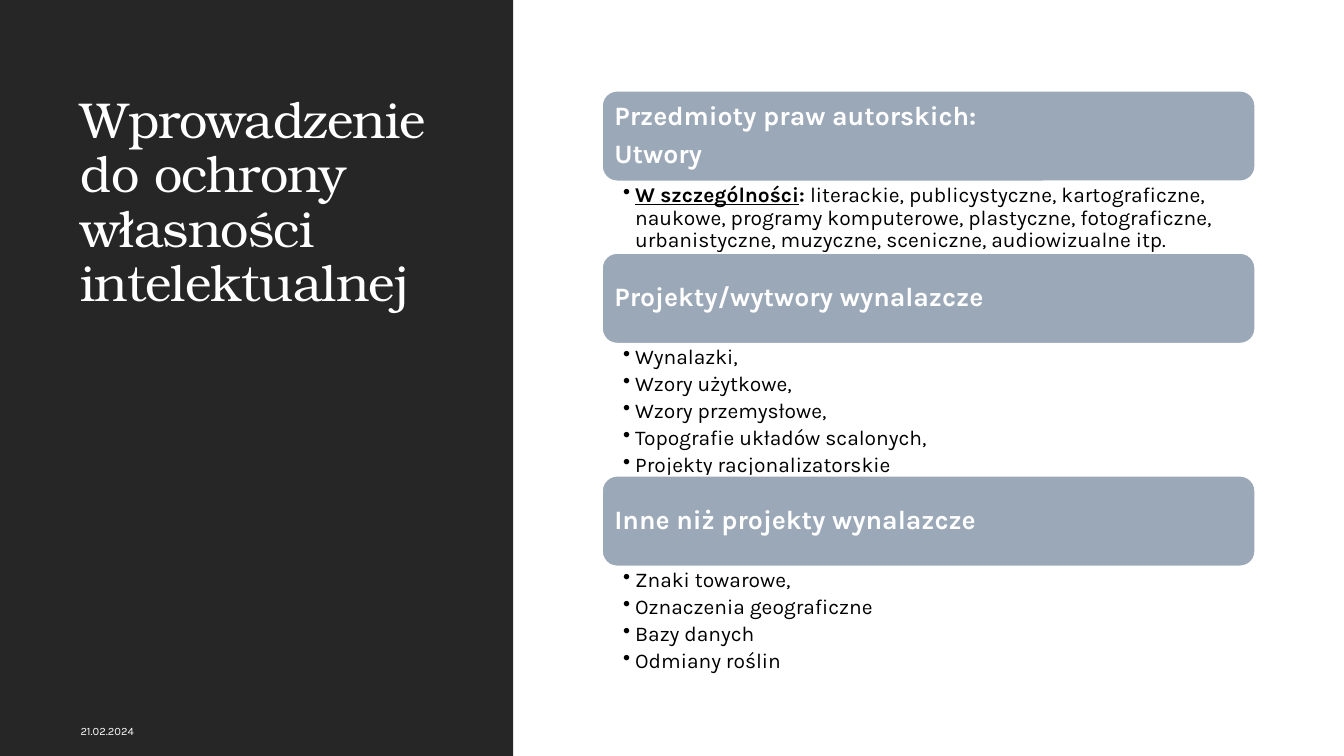
from dataclasses import dataclass

from lxml import etree
from pptx import Presentation
from pptx.dml.color import RGBColor
from pptx.enum.shapes import MSO_SHAPE
from pptx.enum.text import MSO_ANCHOR, PP_ALIGN
from pptx.oxml.ns import qn
from pptx.util import Inches, Pt

RECTANGLE = MSO_SHAPE.RECTANGLE
ROUNDED = MSO_SHAPE.ROUNDED_RECTANGLE
TOP, MIDDLE, BOTTOM = MSO_ANCHOR.TOP, MSO_ANCHOR.MIDDLE, MSO_ANCHOR.BOTTOM
LEFT = PP_ALIGN.LEFT

BODY_FONT, TITLE_FONT = "Karla", "TeX Gyre Bonum"
WHITE, BLACK, DARK, BAR = "FFFFFF", "000000", "262626", "9BA8B7"
LIST_LEFT, LIST_TOP, LIST_WIDTH, BAR_HEIGHT = 5.97, 0.9, 6.48, 0.9


@dataclass
class Span:
    text: str
    bold: bool = False
    underline: bool = False


@dataclass
class Section:
    heading: list[str]
    items: list[list[Span]]
    list_height: float


SECTIONS = [
    Section(
        ["Przedmioty praw autorskich:", "Utwory"],
        [[
            Span("W szczególności", bold=True, underline=True),
            Span(": ", bold=True),
            Span("literackie, publicystyczne, kartograficzne, naukowe, "
                 "programy komputerowe, plastyczne, fotograficzne, "
                 "urbanistyczne, muzyczne, sceniczne, audiowizualne itp."),
        ]],
        0.71,
    ),
    Section(
        ["Projekty/wytwory wynalazcze"],
        [[Span(text)] for text in (
            "Wynalazki,", "Wzory użytkowe,", "Wzory przemysłowe,",
            "Topografie układów scalonych,", "Projekty racjonalizatorskie")],
        1.31,
    ),
    Section(
        ["Inne niż projekty wynalazcze"],
        [[Span(text)] for text in (
            "Znaki towarowe,", "Oznaczenia geograficzne",
            "Bazy danych", "Odmiany roślin")],
        1.05,
    ),
]


def color(value: str) -> RGBColor:
    return RGBColor.from_string(value)


def set_frame(frame, anchor, left=0.1, top=0.05, right=0.1, bottom=0.05) -> None:
    frame.word_wrap = True
    frame.vertical_anchor = anchor
    frame.margin_left, frame.margin_right = Inches(left), Inches(right)
    frame.margin_top, frame.margin_bottom = Inches(top), Inches(bottom)


def add_block(page, kind, left, top, width, height, fill):
    block = page.shapes.add_shape(
        kind, Inches(left), Inches(top), Inches(width), Inches(height))
    block.shadow.inherit = False
    block.fill.solid()
    block.fill.fore_color.rgb = color(fill)
    block.line.fill.background()
    return block


def add_box(page, left, top, width, height):
    return page.shapes.add_textbox(
        Inches(left), Inches(top), Inches(width), Inches(height))


def add_bullet(para) -> None:
    properties = para._p.get_or_add_pPr()
    properties.set("marL", str(Inches(0.12)))
    properties.set("indent", str(Inches(-0.12)))
    etree.SubElement(properties, qn("a:buChar")).set("char", "•")


def write(frame, paragraphs: list[list[Span]], size: float, font: str, shade: str,
          line_spacing: float = 0.9, after: float = 0, bullets: bool = False) -> None:
    for index, spans in enumerate(paragraphs):
        para = frame.add_paragraph() if index else frame.paragraphs[0]
        para.alignment = LEFT
        para.line_spacing = line_spacing
        para.space_after = Pt(after)
        if bullets:
            add_bullet(para)
        para.font.size = Pt(size)
        para.font.name = font
        para.font.color.rgb = color(shade)
        uniform = len(spans) == 1
        if uniform:
            para.font.bold = spans[0].bold
        for span in spans:
            run = para.add_run()
            run.text = span.text
            if not uniform:
                run.font.bold = span.bold
                run.font.underline = span.underline


def add_section(page, section: Section, top: float) -> float:
    """Draw a heading bar with its list and return the next top."""
    bar = add_block(page, ROUNDED, LIST_LEFT, top, LIST_WIDTH, BAR_HEIGHT, BAR)
    bar.line.color.rgb = color(WHITE)
    bar.line.width = Pt(1.25)
    set_frame(bar.text_frame, MIDDLE, 0.08, 0.08, 0.08, 0.08)
    write(bar.text_frame, [[Span(text, bold=True)] for text in section.heading],
          19, BODY_FONT, WHITE, after=7)

    top += BAR_HEIGHT
    box = add_box(page, LIST_LEFT, top, LIST_WIDTH, section.list_height)
    set_frame(box.text_frame, TOP, 0.21, 0.03, 0.15, 0.03)
    write(box.text_frame, section.items, 15, BODY_FONT, BLACK, after=3, bullets=True)
    return top + section.list_height


def main() -> None:
    deck = Presentation()
    deck.slide_width, deck.slide_height = Inches(13.33), Inches(7.5)
    page = deck.slides.add_slide(deck.slide_layouts[6])

    # Dark side panel with title and date
    add_block(page, RECTANGLE, 0, 0, 5.09, 7.5, DARK)
    title = add_box(page, 0.7, 0.86, 3.85, 2.29)
    set_frame(title.text_frame, BOTTOM)
    write(title.text_frame, [[Span("Wprowadzenie do ochrony własności intelektualnej")]],
          36, TITLE_FONT, WHITE)
    title_run = title.text_frame.paragraphs[0].runs[0]
    title_run._r.get_or_add_rPr().set("spc", "-50")

    date = add_box(page, 0.7, 7.05, 3.85, 0.4)
    set_frame(date.text_frame, MIDDLE)
    write(date.text_frame, [[Span("21.02.2024")]], 8, BODY_FONT, WHITE,
          line_spacing=1.0, after=6)

    # Sections stacked one under another
    top = LIST_TOP
    for section in SECTIONS:
        top = add_section(page, section, top)

    deck.save("out.pptx")


if __name__ == "__main__":
    main()
